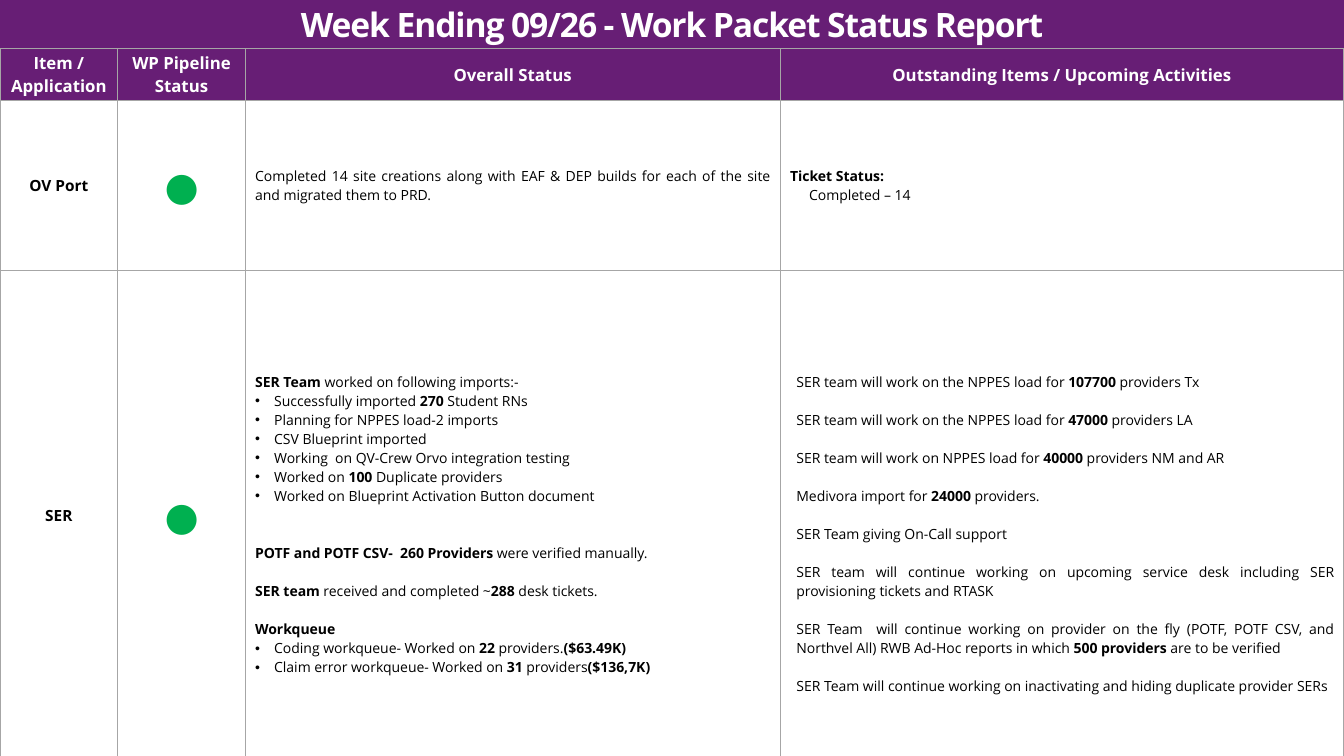
from lxml.etree import SubElement
from pptx import Presentation
from pptx.dml.color import RGBColor
from pptx.enum.text import MSO_ANCHOR as Anchor, MSO_AUTO_SIZE as AutoSize, PP_ALIGN as Align
from pptx.oxml.ns import qn
from pptx.util import Cm, Pt

FONT = "Open Sans"
PURPLE, WHITE, BLACK, GREEN, GREY = "671E75", "FFFFFF", "000000", "00B050", "A6A6A6"
LINE_PT = 13.6
LINE_CM = 0.48
BULLET_CM = 0.48
BAND_CM = 1.23
COLUMNS_CM = (2.97, 3.21, 13.48, 14.21)
ROWS_CM = (1.19, 4.3, 12.32)

HEADINGS = (
    "Item / Application",
    "WP Pipeline Status",
    "Overall Status",
    "Outstanding Items / Upcoming Activities",
)

LINK_STATUS = [
    ("Completed 14 site creations along with EAF & DEP builds for each of the site "
     "and migrated them to PRD.", "plain", 0),
]
LINK_UPCOMING = [
    ("**Ticket Status:**", "plain", 0),
    ("Completed – 14", "indented", 0),
]
SER_STATUS = [
    ("**SER Team **worked on following imports:-", "plain", 0),
    ("Successfully imported **270** Student RNs", "bullet", 0),
    ("Planning for NPPES load-2 imports", "bullet", 0),
    ("CSV Blueprint imported", "bullet", 0),
    ("Working  on QV-Crew Orvo integration testing", "bullet", 0),
    ("Worked on **100 **Duplicate providers", "bullet", 0),
    ("Worked on Blueprint Activation Button document", "bullet", 0),
    ("**POTF and POTF CSV-  260 Providers** were verified manually.", "plain", 2),
    ("**SER team **received and completed ~**288 **desk tickets.", "plain", 1),
    ("**Workqueue**", "plain", 1),
    ("Coding workqueue- Worked on **22 **providers.**($63.49K)**", "bullet", 0),
    ("Claim error workqueue- Worked on **31 **providers**($136,7K)**", "bullet", 0),
]
SER_ACTIVITIES = (
    "SER team will work on the NPPES load for **107700 **providers Tx",
    "SER team will work on the NPPES load for **47000 **providers LA",
    "SER team will work on NPPES load for **40000 **providers NM and AR",
    "Medivora import for **24000 **providers.",
    "SER Team giving On-Call support",
    "SER team will continue working on upcoming service desk including SER "
    "provisioning tickets and RTASK",
    "SER Team  will continue working on provider on the fly (POTF, POTF CSV, and "
    "Northvel All) RWB Ad-Hoc reports in which **500 providers** are to be verified",
    "SER Team will continue working on inactivating and hiding duplicate provider SERs",
)
SER_UPCOMING = [(activity, "inset", min(order, 1)) for order, activity in enumerate(SER_ACTIVITIES)]

APPLICATIONS = (
    ("OV Port", (LINK_STATUS, 0), (LINK_UPCOMING, 0)),
    ("SER", (SER_STATUS, 1), (SER_UPCOMING, 2)),
)


def color(hex_code):
    """Turn a hex string into a colour."""
    return RGBColor.from_string(hex_code)


def style_run(run, size, hex_code, bold):
    """Give a run its font, size, colour and weight."""
    run.font.name = FONT
    run.font.size = Pt(size)
    run.font.bold = bold
    run.font.color.rgb = color(hex_code)


def set_indent(paragraph, style):
    """Indent a paragraph and give it a bullet if its style asks for one."""
    margin = {"plain": 0, "indented": BULLET_CM, "bullet": BULLET_CM, "inset": 0.16}[style]
    properties = paragraph._p.get_or_add_pPr()
    properties.set("marL", str(Cm(margin)))
    properties.set("indent", str(-Cm(margin) if style == "bullet" else 0))
    if style == "bullet":
        SubElement(properties, qn("a:buFont"), typeface="Arial")
        SubElement(properties, qn("a:buChar"), char="•")
    else:
        SubElement(properties, qn("a:buNone"))


def prepare_cell(cell, padding):
    """Set the borders, margins and anchor of a cell."""
    properties = cell._tc.get_or_add_tcPr()
    for side in ("a:lnL", "a:lnR", "a:lnT", "a:lnB"):
        border = SubElement(properties, qn(side), w=str(Pt(1)))
        SubElement(SubElement(border, qn("a:solidFill")), qn("a:srgbClr"), val=GREY)
    cell.margin_left = cell.margin_right = Cm(0.25)
    cell.margin_top = cell.margin_bottom = Cm(padding)
    cell.vertical_anchor = Anchor.MIDDLE


def fill_label(cell, label, size, hex_code, background=None):
    """Write one centred bold label into a cell."""
    prepare_cell(cell, 0.07 if background else 0.05)
    if background:
        cell.fill.solid()
        cell.fill.fore_color.rgb = color(background)
    else:
        cell.fill.background()
    paragraph = cell.text_frame.paragraphs[0]
    paragraph.text = label
    paragraph.alignment = Align.CENTER
    style_run(paragraph.runs[0], size, hex_code, True)
    return paragraph


def fill_notes(cell, notes, lead_lines):
    """Write justified notes into a cell, with bold between double asterisks."""
    prepare_cell(cell, 0.05)
    cell.margin_top = Cm(0.05 + lead_lines * LINE_CM)
    cell.fill.background()
    frame = cell.text_frame
    for order, (note, style, gap_lines) in enumerate(notes):
        paragraph = frame.add_paragraph() if order else frame.paragraphs[0]
        paragraph.alignment = Align.JUSTIFY
        paragraph.space_before = Pt(gap_lines * LINE_PT)
        set_indent(paragraph, style)
        for part, wording in enumerate(note.split("**")):
            if wording:
                run = paragraph.add_run()
                run.text = wording
                style_run(run, 10, BLACK, part % 2 == 1)


def add_title(slide, heading):
    """Turn the title placeholder into the purple band."""
    title = slide.shapes.title
    title.left, title.top, title.width, title.height = Cm(0), Cm(0), Cm(33.87), Cm(BAND_CM)
    title.fill.solid()
    title.fill.fore_color.rgb = color(PURPLE)
    frame = title.text_frame
    frame.text = heading
    frame.word_wrap = True
    frame.auto_size = AutoSize.NONE
    frame.vertical_anchor = Anchor.MIDDLE
    frame.margin_left = frame.margin_right = frame.margin_bottom = Cm(0)
    frame.margin_top = Cm(0.12)
    paragraph = frame.paragraphs[0]
    paragraph.alignment = Align.CENTER
    paragraph.line_spacing = 0.9
    style_run(paragraph.runs[0], 24, WHITE, True)
    paragraph.runs[0].font._element.set("spc", "-80")


def add_status_table(slide):
    """Add the table of applications with their status and activities."""
    frame = slide.shapes.add_table(len(ROWS_CM), len(COLUMNS_CM), Cm(0), Cm(BAND_CM),
                                   Cm(sum(COLUMNS_CM)), Cm(sum(ROWS_CM)))
    table = frame.table
    table.first_row = table.horz_banding = False
    for column, width in zip(table.columns, COLUMNS_CM):
        column.width = Cm(width)
    for row, height in zip(table.rows, ROWS_CM):
        row.height = Cm(height)
    for column, heading in enumerate(HEADINGS):
        fill_label(table.cell(0, column), heading, 12, WHITE, PURPLE)
    for row, (application, status, upcoming) in enumerate(APPLICATIONS, 1):
        fill_label(table.cell(row, 0), application, 11, BLACK)
        fill_label(table.cell(row, 1), "●", 28, GREEN).space_before = Pt(4)
        fill_notes(table.cell(row, 2), *status)
        fill_notes(table.cell(row, 3), *upcoming)


def main():
    """Build the status report slide and save it."""
    deck = Presentation()
    deck.slide_width, deck.slide_height = Cm(33.87), Cm(19.05)
    slide = deck.slides.add_slide(deck.slide_layouts[5])
    add_title(slide, "Week Ending 09/26 - Work Packet Status Report")
    add_status_table(slide)
    deck.save("out.pptx")


if __name__ == "__main__":
    main()
